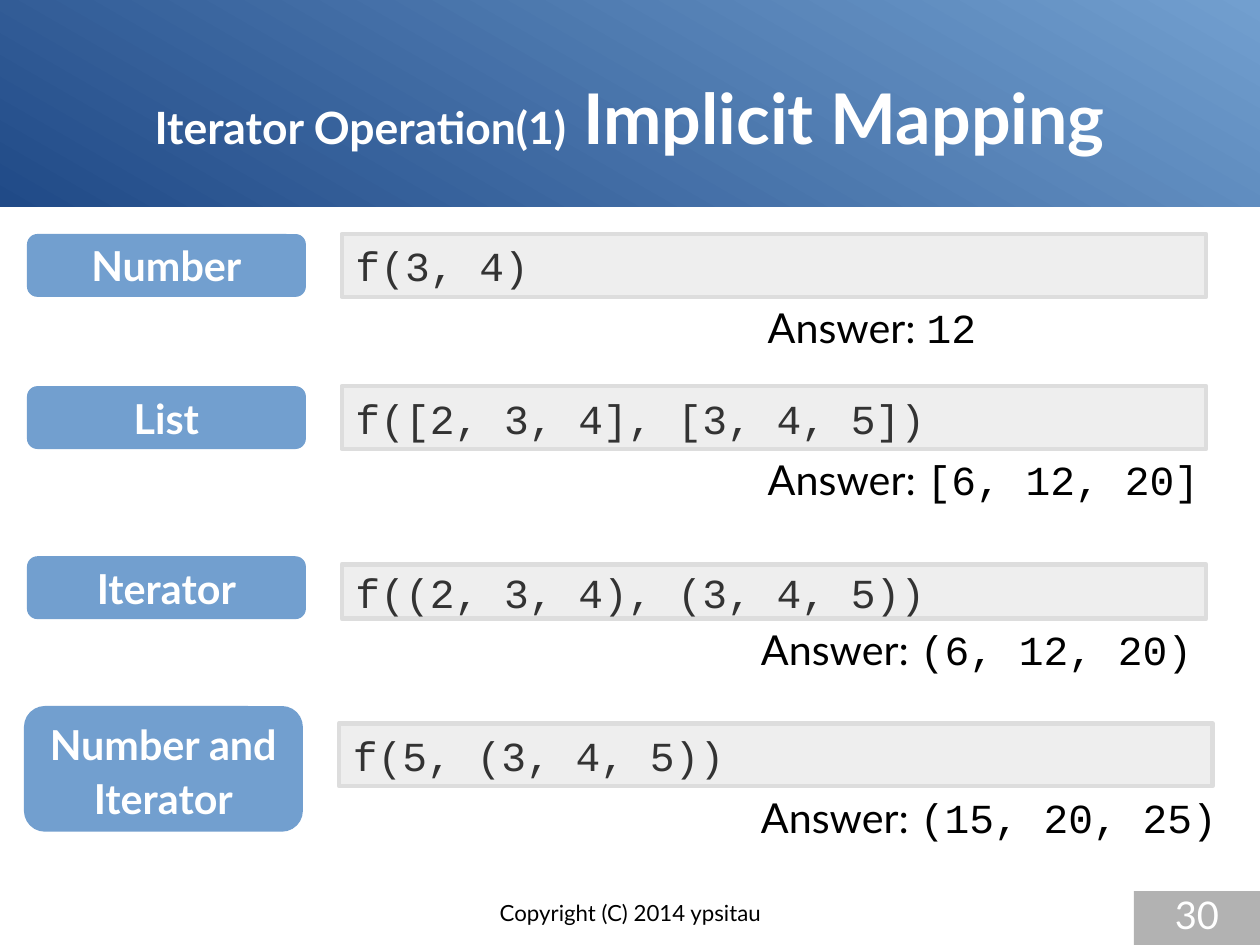
from pptx import Presentation
from pptx.dml.color import RGBColor
from pptx.enum.shapes import MSO_SHAPE
from pptx.enum.text import MSO_ANCHOR, MSO_AUTO_SIZE, PP_ALIGN
from pptx.util import Cm, Inches, Pt

SANS, MONO = "Lato", "Courier New"
WHITE, BLACK, INK = "FFFFFF", "000000", "333333"
NAVY, BLUE = "204A87", "729FCF"
PALE, BORDER, GRAY = "EEEEEE", "DDDDDD", "B2B2B2"
ROUNDED, RECT = MSO_SHAPE.ROUNDED_RECTANGLE, MSO_SHAPE.RECTANGLE


def rgb(color):
    return RGBColor.from_string(color)


class Deck:
    """Style and current slide; boxes are (x, y, w, h) in percent of the slide."""

    def __init__(self, width, height):
        self.prs = Presentation()
        self.prs.slide_width, self.prs.slide_height = width, height
        self.slide = self.prs.slides.add_slide(self.prs.slide_layouts[5])
        self.size = 26

    def area(self, box):
        x, y, w, h = box
        width, height = self.prs.slide_width, self.prs.slide_height
        return (int(x * width / 100), int(y * height / 100),
                int(w * width / 100), int(h * height / 100))

    def frame(self, sp, inset, anchor):
        tf = sp.text_frame
        tf.word_wrap = True
        tf.auto_size = MSO_AUTO_SIZE.NONE
        tf.vertical_anchor = anchor
        tf.margin_left = tf.margin_right = Inches(inset[0])
        tf.margin_top = tf.margin_bottom = Inches(inset[1])
        return tf

    def run(self, p, text, color, font=SANS, size=None, bold=False):
        r = p.add_run()
        r.text = text
        r.font.name, r.font.size, r.font.bold = font, Pt(size or self.size), bold
        r.font.color.rgb = rgb(color)

    def shape(self, kind, box, fill):
        sp = self.slide.shapes.add_shape(kind, *self.area(box))
        sp.shadow.inherit = False
        sp.fill.solid()
        sp.fill.fore_color.rgb = rgb(fill)
        sp.line.fill.background()
        return sp

    def banner(self, box):
        sp = self.shape(RECT, box, NAVY)
        sp.fill.gradient()
        sp.fill.gradient_angle = 60
        for stop, color, position in zip(sp.fill.gradient_stops, (NAVY, BLUE), (0, 1)):
            stop.color.rgb = rgb(color)
            stop.position = position
        self.slide.shapes.title._element.addprevious(sp._element)

    def title(self, box, lead, topic):
        sp = self.slide.shapes.title
        sp.left, sp.top, sp.width, sp.height = self.area(box)
        p = self.frame(sp, (0, 0), MSO_ANCHOR.MIDDLE).paragraphs[0]
        p.alignment = PP_ALIGN.CENTER
        self.run(p, lead, WHITE, size=28, bold=True)
        self.run(p, topic, WHITE, size=44, bold=True)

    def label(self, box, lines):
        sp = self.shape(ROUNDED, box, BLUE)
        tf = self.frame(sp, (0.1, 0.05), MSO_ANCHOR.MIDDLE)
        for i, line in enumerate(lines):
            p = tf.add_paragraph() if i else tf.paragraphs[0]
            p.alignment = PP_ALIGN.CENTER
            if len(lines) > 1:
                p.line_spacing = Pt(34)
            self.run(p, line, WHITE, bold=True)

    def code(self, box, text):
        sp = self.shape(RECT, box, PALE)
        sp.line.color.rgb = rgb(BORDER)
        sp.line.width = Pt(2.83)
        p = self.frame(sp, (0.12, 0.07), MSO_ANCHOR.MIDDLE).paragraphs[0]
        p.alignment = PP_ALIGN.LEFT
        self.run(p, text, INK, MONO)

    def answer(self, box, value):
        sp = self.slide.shapes.add_textbox(*self.area(box))
        p = self.frame(sp, (0.1, 0.05), MSO_ANCHOR.TOP).paragraphs[0]
        self.run(p, "Answer: ", BLACK)
        self.run(p, value, BLACK, MONO)

    def footer(self, box, text, size, color, fill=None):
        if fill:
            sp = self.shape(RECT, box, fill)
        else:
            sp = self.slide.shapes.add_textbox(*self.area(box))
        p = self.frame(sp, (0, 0), MSO_ANCHOR.TOP).paragraphs[0]
        p.alignment = PP_ALIGN.CENTER
        self.run(p, text, color, size=size)


ROW = 6.65
# label lines, label (x, y, h), code (x, y, w, h), code, answer (x, w), answer
EXAMPLES = [
    (["Number"], (2.14, 24.76, ROW), (27.13, 24.76, 68.6, ROW),
     "f(3, 4)", (60.04, 18.97), "12"),
    (["List"], (2.14, 40.86, ROW), (27.13, 40.86, 68.6, ROW),
     "f([2, 3, 4], [3, 4, 5])", (60.04, 36.66), "[6, 12, 20]"),
    (["Iterator"], (2.14, 58.86, ROW), (27.13, 59.73, 68.6, 5.75),
     "f((2, 3, 4), (3, 4, 5))", (59.5, 36.66), "(6, 12, 20)"),
    (["Number and", "Iterator"], (1.9, 74.71, 2 * ROW), (26.91, 76.54, 69.33, ROW),
     "f(5, (3, 4, 5))", (59.5, 38.66), "(15, 20, 25)"),
]


def main():
    deck = Deck(Cm(28), Cm(21))
    deck.banner((0, 0, 100, 21.9))
    deck.title((5, 4, 90, 16.7), "Iterator Operation(1)", " Implicit Mapping")
    for lines, (x, y, h), code_box, code, (answer_x, answer_w), value in EXAMPLES:
        deck.code(code_box, code)
        deck.label((x, y, 22.14, h), lines)
        code_bottom = code_box[1] + code_box[3]
        deck.answer((answer_x, code_bottom, answer_w, 7.13), value)
    deck.footer((34.2, 95.2, 31.67, 4.8), "Copyright (C) 2014 ypsitau", 14, BLACK)
    deck.footer((90, 94.3, 10, 5.7), "30", 24, WHITE, GRAY)
    deck.prs.save("out.pptx")


if __name__ == "__main__":
    main()
